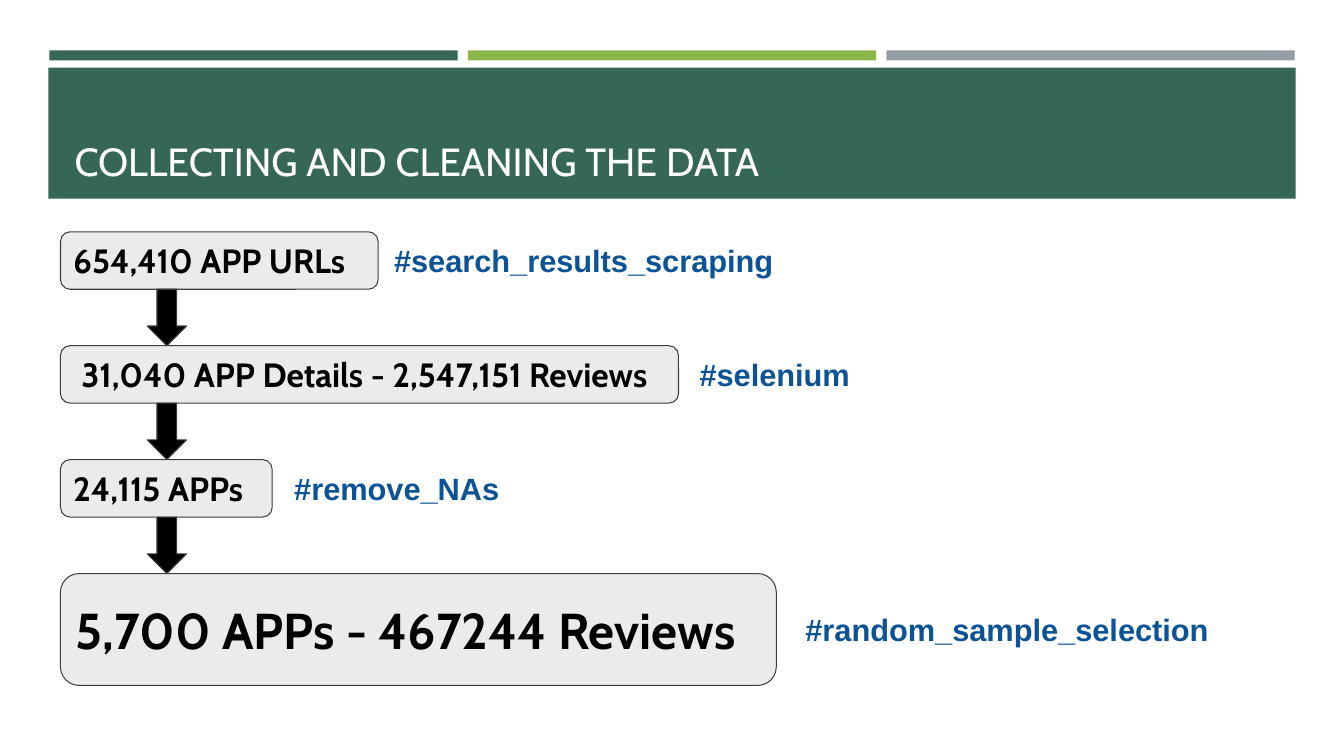
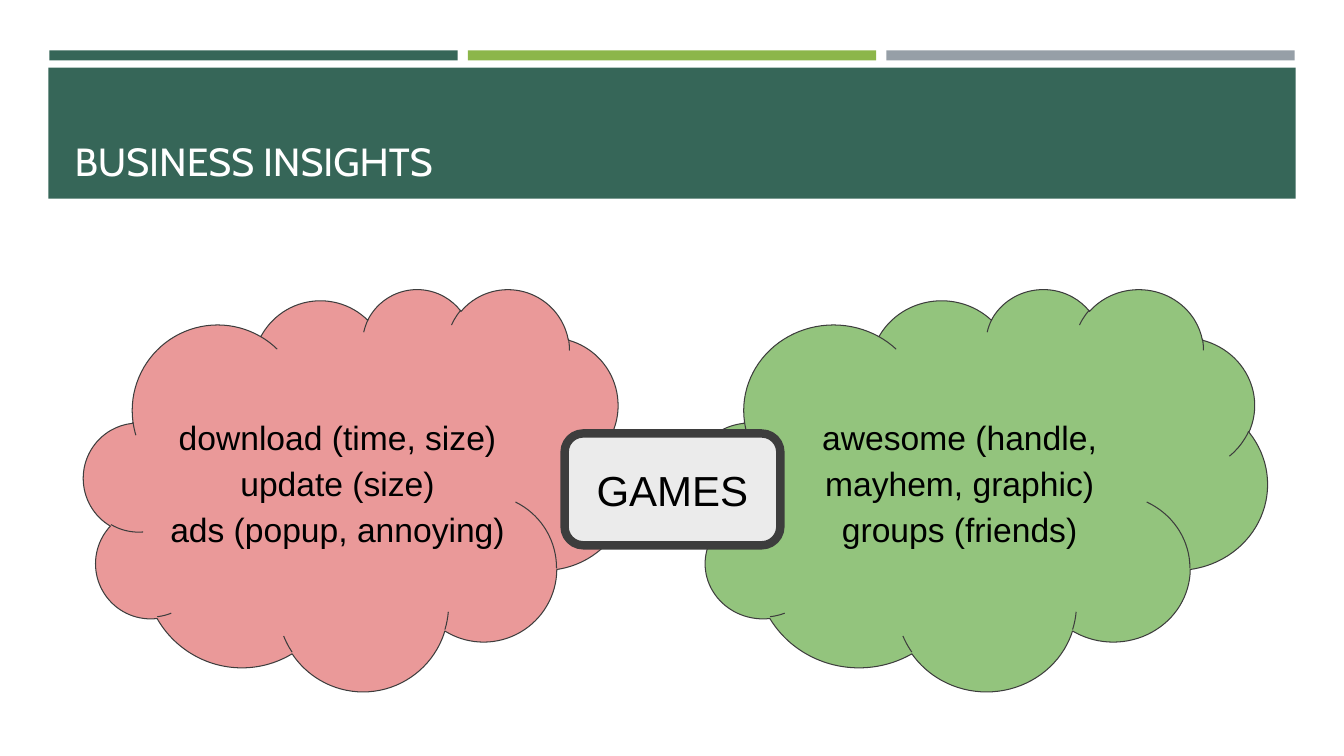
from pptx import Presentation
from pptx.dml.color import RGBColor
from pptx.enum.shapes import MSO_SHAPE
from pptx.enum.text import MSO_ANCHOR, MSO_AUTO_SIZE, PP_ALIGN
from pptx.util import Inches, Pt

COLORS = {
    "green": "366658",
    "lime": "8CB64A",
    "slate": "969FA7",
    "white": "FFFFFF",
    "black": "000000",
    "box": "EBEBEB",
    "outline": "3D3D3D",
    "tag": "0B5394",
    "complaints": "EA9999",
    "praise": "93C47D",
}
TITLE_FONT = "Cabin"
BODY_FONT = "Arial"


def color(name):
    return RGBColor.from_string(COLORS[name])


def add_shape(slide, kind, box, fill, line_width=0.75):
    """Add a flat filled shape; a line width of 0 means no outline."""
    shape = slide.shapes.add_shape(kind, *map(Inches, box))
    shape.shadow.inherit = False
    shape.fill.solid()
    shape.fill.fore_color.rgb = color(fill)
    if line_width:
        shape.line.color.rgb = color("outline")
        shape.line.width = Pt(line_width)
    else:
        shape.line.fill.background()
    return shape


def set_text(shape, lines, font_name, size, font_color="black", bold=False,
             align=PP_ALIGN.LEFT, anchor=MSO_ANCHOR.MIDDLE, spacing=None,
             inset=0.1, left_inset=0.1):
    frame = shape.text_frame
    frame.word_wrap = True
    frame.auto_size = MSO_AUTO_SIZE.NONE
    frame.vertical_anchor = anchor
    frame.margin_left = Inches(left_inset)
    frame.margin_right = Inches(0.1)
    frame.margin_top = frame.margin_bottom = Inches(inset)
    frame.text = "\n".join(lines)
    for paragraph in frame.paragraphs:
        paragraph.alignment = align
        paragraph.line_spacing = spacing
        paragraph.font.name = font_name
        paragraph.font.size = Pt(size)
        paragraph.font.bold = bold
        paragraph.font.color.rgb = color(font_color)


def add_layout_bands(layout, slide):
    """Draw the header bands on a slide, then move them behind the layout's parts."""
    stripe_width, stripe_gap = 4.05, 0.1
    bands = [((0.48, 0.67, 12.37, 1.3), "green")]
    for index, fill in enumerate(("green", "lime", "slate")):
        left = 0.49 + index * (stripe_width + stripe_gap)
        bands.append(((left, 0.5, stripe_width, 0.1), fill))
    for box, fill in bands:
        band = add_shape(slide, MSO_SHAPE.RECTANGLE, box, fill, line_width=0)
        layout.shapes.element.insert(2, band.element)


def add_title(slide, text):
    title = slide.shapes.title
    title.left, title.top, title.width, title.height = map(
        Inches, (0.64, 0.77, 12.06, 1.11))
    set_text(title, [text], TITLE_FONT, 28, "white",
             anchor=MSO_ANCHOR.BOTTOM, inset=0.05)


def add_flow(slide, left, top, steps):
    """Stack the steps, each with a tag at its right and an arrow to the next."""
    step_gap, tag_height = 0.56, 0.57
    arrow_left, arrow_width = left + 0.86, 0.39
    for index, (text, width, height, size, left_inset, tag, tag_gap) in enumerate(steps):
        step = add_shape(slide, MSO_SHAPE.ROUNDED_RECTANGLE,
                         (left, top, width, height), "box")
        set_text(step, [text], TITLE_FONT, size, bold=True, left_inset=left_inset)

        # Tag, centred on the height of its step
        tag_top = top + (height - tag_height) / 2
        tag_box = slide.shapes.add_textbox(
            *map(Inches, (left + width + tag_gap, tag_top, 4.57, tag_height)))
        set_text(tag_box, [tag], BODY_FONT, 22, "tag", bold=True,
                 anchor=MSO_ANCHOR.TOP)

        # Arrow to the next step
        if index < len(steps) - 1:
            add_shape(slide, MSO_SHAPE.DOWN_ARROW,
                      (arrow_left, top + height, arrow_width, step_gap), "black")
        top += height + step_gap


def add_cloud(slide, box, fill, lines):
    cloud = add_shape(slide, MSO_SHAPE.CLOUD, box, fill)
    set_text(cloud, lines, BODY_FONT, 24, align=PP_ALIGN.CENTER, spacing=1.15)


def add_topic(slide, box, text):
    topic = add_shape(slide, MSO_SHAPE.ROUNDED_RECTANGLE, box, "box", line_width=6)
    set_text(topic, [text], BODY_FONT, 30, align=PP_ALIGN.CENTER)


def build_collecting_slide(slide):
    add_title(slide, "COLLECTING AND CLEANING THE DATA")
    # Text, width, height, text size, left inset, tag, gap before the tag
    add_flow(slide, 0.6, 2.3, [
        ("654,410 APP URLs", 3.15, 0.57, 24, 0.1, "#search_results_scraping", 0.06),
        ("31,040 APP Details - 2,547,151 Reviews", 6.13, 0.57, 24, 0.18,
         "#selenium", 0.11),
        ("24,115 APPs", 2.1, 0.57, 24, 0.1, "#remove_NAs", 0.12),
        ("5,700 APPs - 467244 Reviews", 7.1, 1.11, 36, 0.1,
         "#random_sample_selection", 0.19),
    ])


def build_insights_slide(slide):
    add_title(slide, "BUSINESS INSIGHTS")
    add_cloud(slide, (0.83, 2.86, 5.42, 3.99), "complaints",
              ["download (time, size)", "update (size)", "ads (popup, annoying)"])
    add_cloud(slide, (6.87, 2.86, 5.7, 3.99), "praise",
              ["awesome (handle, mayhem, graphic)", "groups (friends)"])
    add_topic(slide, (5.6, 4.3, 2.14, 1.11), "GAMES")


def main():
    presentation = Presentation()
    presentation.slide_width = Inches(13.33)
    presentation.slide_height = Inches(7.5)
    layout = presentation.slide_layouts.get_by_name("Title Only")
    collecting_slide = presentation.slides.add_slide(layout)
    insights_slide = presentation.slides.add_slide(layout)
    add_layout_bands(layout, collecting_slide)
    build_collecting_slide(collecting_slide)
    build_insights_slide(insights_slide)
    presentation.save("out.pptx")


if __name__ == "__main__":
    main()
